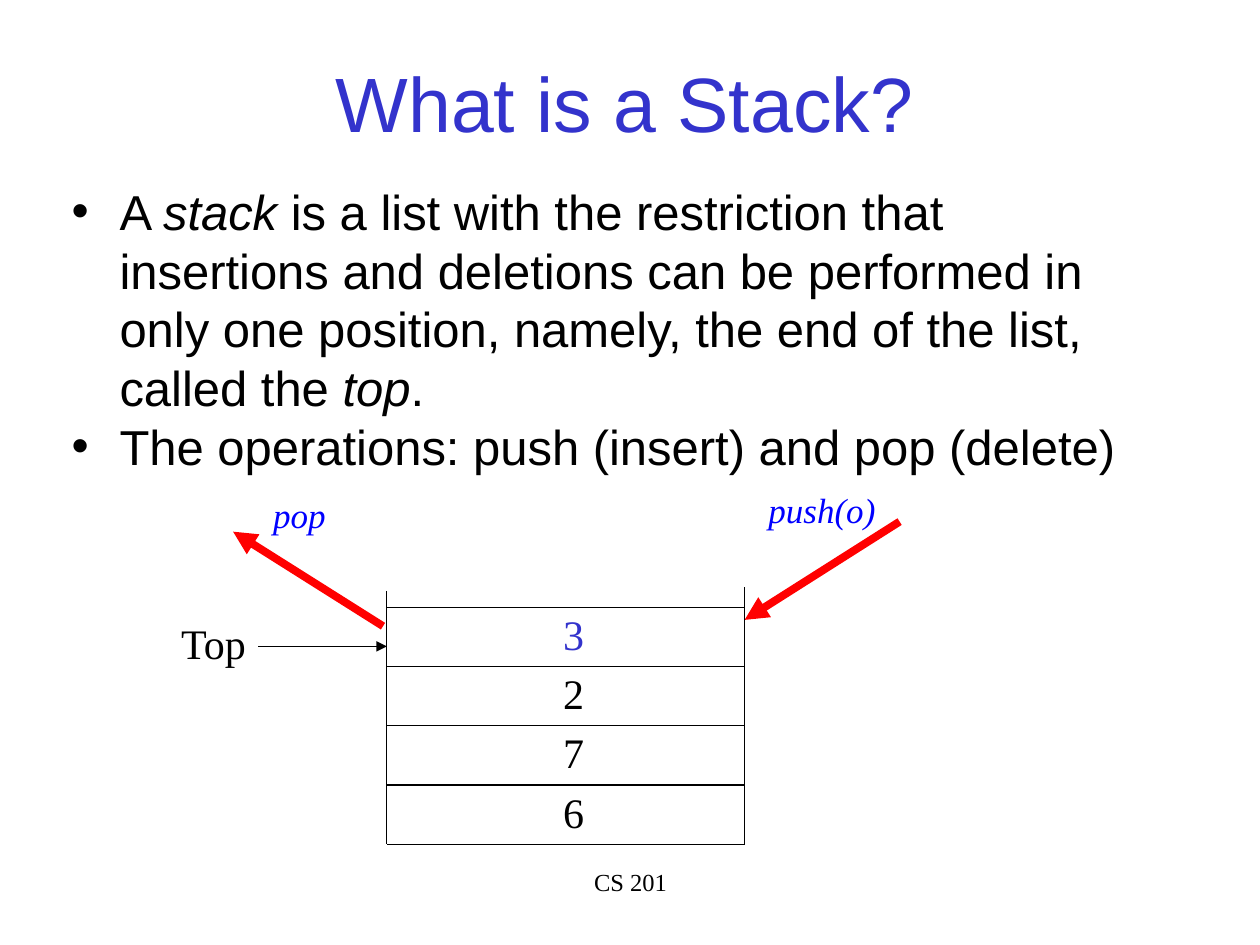
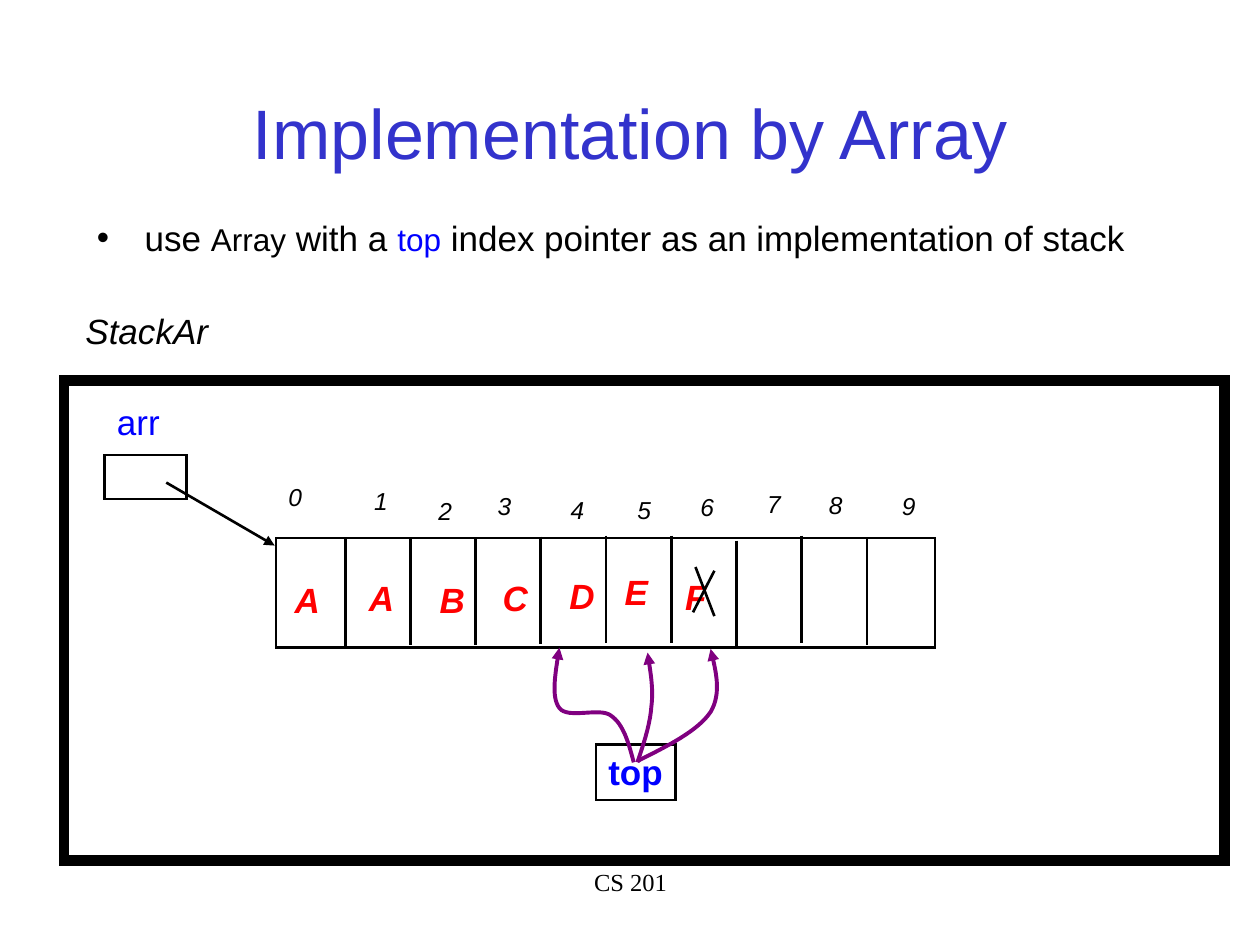
from lxml import etree
from pptx import Presentation
from pptx.dml.color import RGBColor
from pptx.enum import shapes as sh, text as tx
from pptx.oxml import ns
from pptx.util import Inches, Pt

BLACK = RGBColor(0, 0, 0)
INDIGO = RGBColor(0x33, 0x33, 0xCC)
BLUE = RGBColor(0, 0, 0xFF)
RED = RGBColor(0xFF, 0, 0)
PURPLE = RGBColor(0x80, 0, 0x80)
SANS, SERIF = "Arial", "Times New Roman"
STRAIGHT = sh.MSO_CONNECTOR.STRAIGHT
RECT = sh.MSO_SHAPE.RECTANGLE


def write(page, box, words, size, tint=BLACK, face=SANS, bold=False, slant=False, wrap=False):
    area = page.shapes.add_textbox(*map(Inches, box))
    frame = area.text_frame
    frame.word_wrap = wrap
    frame.auto_size = tx.MSO_AUTO_SIZE.NONE if wrap else tx.MSO_AUTO_SIZE.SHAPE_TO_FIT_TEXT
    para = frame.paragraphs[0]
    para.text = words
    font = para.font
    font.name, font.size, font.bold, font.italic = face, Pt(size), bold, slant
    font.color.rgb = tint
    return area


def stroke(item, width, tint=BLACK, arrow=False):
    item.line.width = Pt(width)
    item.line.color.rgb = tint
    props = item._element.spPr
    edge = props.find(ns.qn("a:ln"))
    etree.SubElement(edge, ns.qn("a:miter"), lim="800000")
    if arrow:
        etree.SubElement(edge, ns.qn("a:tailEnd"), type="triangle")
    if props.find(ns.qn("a:effectLst")) is None:
        etree.SubElement(props, ns.qn("a:effectLst"))


deck = Presentation()
deck.slide_width, deck.slide_height = Inches(10), Inches(7.5)
stack, array = [deck.slides.add_slide(deck.slide_layouts[6]) for _ in range(2)]

heads = [
    (stack, (0.71, 0.28, 8.5, 1.05), "What is a Stack?", 44),
    (array, (0.75, 0.42, 8.5, 1.25), "Implementation by Array", 40),
]
for page, box, words, size in heads:
    foot = write(page, (3.42, 6.83, 3.17, 0.5), "CS 201", 14, face=SERIF, wrap=True)
    title = write(page, box, words, size, INDIGO, wrap=True)
    title.text_frame.vertical_anchor = tx.MSO_ANCHOR.MIDDLE
    for area in (foot, title):
        area.text_frame.paragraphs[0].alignment = tx.PP_ALIGN.CENTER

bodies = [
    (stack, (0.47, 1.39, 8.78, 2.56), 28, [
        [("A ", None, None, False), ("stack", None, None, True),
         (" is a list with the restriction that insertions and deletions can be performed in "
          "only one position, namely, the end of the list, called the ", None, None, False),
         ("top", None, None, True), (".", None, None, False)],
        [("The operations: push (insert) and pop (delete)", None, None, False)],
    ]),
    (array, (0.67, 1.67, 8.5, 4.5), 20, [
        [("use ", None, None, False), ("Array", 18, None, False), (" with a ", None, None, False),
         ("top", 18, BLUE, False),
         (" index pointer as an implementation of stack", None, None, False)],
    ]),
]
for page, box, size, points in bodies:
    frame = page.shapes.add_textbox(*map(Inches, box)).text_frame
    frame.word_wrap = True
    for i, parts in enumerate(points):
        para = frame.add_paragraph() if i else frame.paragraphs[0]
        props = para._p.get_or_add_pPr()
        props.set("marL", str(Inches(0.38)))
        props.set("indent", str(Inches(-0.38)))
        etree.SubElement(props, ns.qn("a:buFont"), typeface=SANS)
        etree.SubElement(props, ns.qn("a:buChar"), char="•")
        para.font.name, para.font.size = SANS, Pt(size)
        para.font.color.rgb = BLACK
        for words, small, tint, slant in parts:
            run = para.add_run()
            run.text = words
            run.font.italic = slant
            if small:
                run.font.size = Pt(small)
            if tint:
                run.font.color.rgb = tint

write(stack, (2.07, 3.87, 0.8, 0.44), "pop", 20, BLUE, SERIF, slant=True, wrap=True)
write(stack, (6, 3.83, 1.2, 0.44), "push(o)", 20, BLUE, SERIF, slant=True, wrap=True)
write(stack, (1.34, 4.85, 0.87, 0.5), "Top", 24, face=SERIF, wrap=True)

LEFT, RIGHT, BASE, STEP = 3.07, 5.91, 6.7, 0.47
lines = [
    (stack, (3.04, 4.97, 1.85, 4.22), 4.5, RED, True),
    (stack, (7.14, 4.14, RIGHT, 4.92), 4.5, RED, True),
    (stack, (2.05, 5.13, LEFT, 5.13), 0.75, BLACK, True),
    (stack, (LEFT, 4.69, LEFT, BASE), 0.75, BLACK, False),
    (stack, (RIGHT, 4.66, RIGHT, BASE), 0.75, BLACK, False),
    (stack, (LEFT, BASE, RIGHT, BASE), 0.75, BLACK, False),
    (array, (1.32, 3.83, 2.18, 4.33), 1.5, BLACK, True),
]
for i, digit in enumerate("6723", 1):
    y = BASE - i * STEP
    lines.append((stack, (LEFT, y, RIGHT, y), 0.75, BLACK, False))
    tint = INDIGO if digit == "3" else BLACK
    write(stack, (4.37, y - 0.04, 0.91, 0.5), digit, 24, tint, SERIF, wrap=True)

rects = [
    ((2.19, 4.27, 5.23, 0.87), 1.5),
    ((0.51, 3.02, 9.21, 3.81), 6),
    ((0.83, 3.61, 0.65, 0.35), 1.5),
]
for box, width in rects:
    rect = array.shapes.add_shape(RECT, *map(Inches, box))
    rect.shadow.inherit = False
    rect.fill.background()
    stroke(rect, width)

for i, y in enumerate([4.28, 4.27, 4.27, 4.26, 4.25, 4.25, 4.29, 4.25, 4.27]):
    x = 2.74 + i * 4.14 / 8
    lines.append((array, (x, y, x, y + 0.85), 1.5, BLACK, False))

marks = [(2.19, 3.78), (2.87, 3.81), (3.38, 3.89), (3.85, 3.85), (4.43, 3.88),
         (4.96, 3.88), (5.46, 3.86), (5.99, 3.83), (6.48, 3.84), (7.06, 3.85)]
for i, (x, y) in enumerate(marks):
    write(array, (x, y, 0.31, 0.34), str(i), 14, slant=True)

items = [("A", 2.24, 4.54), ("A", 2.83, 4.53), ("B", 3.39, 4.54), ("C", 3.89, 4.53),
         ("D", 4.42, 4.51), ("E", 4.86, 4.48), ("F", 5.34, 4.52)]
for name, x, y in items:
    width = {"E": 0.38, "F": 0.37}.get(name, 0.4)
    write(array, (x, y, width, 0.44), name, 20, RED, bold=True, slant=True)

write(array, (0.58, 2.41, 1.5, 0.44), "StackAr", 20, slant=True, wrap=True)
write(array, (0.83, 3.13, 0.7, 0.44), "arr", 20, BLUE, wrap=True)
stroke(write(array, (4.73, 5.91, 0.63, 0.44), "top", 20, BLUE, bold=True), 1.5)

lines += [
    (array, (5.52, 4.5, 5.67, 4.89), 1.5, BLACK, False),
    (array, (5.67, 4.53, 5.5, 4.86), 1.5, BLACK, False),
]
for page, ends, width, tint, arrow in lines:
    stroke(page.shapes.add_connector(STRAIGHT, *map(Inches, ends)), width, tint, arrow)

curves = [
    [(5.03, 6.05), (4.99, 5.9), (4.95, 5.75), (4.85, 5.68), (4.76, 5.61), (4.51, 5.71),
     (4.44, 5.62), (4.37, 5.53), (4.41, 5.33), (4.44, 5.14)],
    [(5.06, 6.04), (5.3, 5.92), (5.54, 5.8), (5.64, 5.65), (5.73, 5.5), (5.68, 5.32),
     (5.64, 5.15)],
    [(5.06, 6.05), (5.11, 5.9), (5.16, 5.75), (5.17, 5.61), (5.19, 5.46), (5.16, 5.32),
     (5.14, 5.18)],
]
for knots in curves:
    trail = []
    for k in range(0, len(knots) - 1, 3):
        for n in range(1, 17):
            t = n / 16
            mix = [(1 - t) ** 3, 3 * t * (1 - t) ** 2, 3 * t * t * (1 - t), t ** 3]
            trail.append([Inches(sum(m * p[axis] for m, p in zip(mix, knots[k:k + 4])))
                          for axis in (0, 1)])
    pen = array.shapes.build_freeform(*map(Inches, knots[0]))
    pen.add_line_segments(trail, close=False)
    curve = pen.convert_to_shape()
    curve.shadow.inherit = False
    curve.fill.background()
    stroke(curve, 2.25, PURPLE, True)

deck.save("out.pptx")
